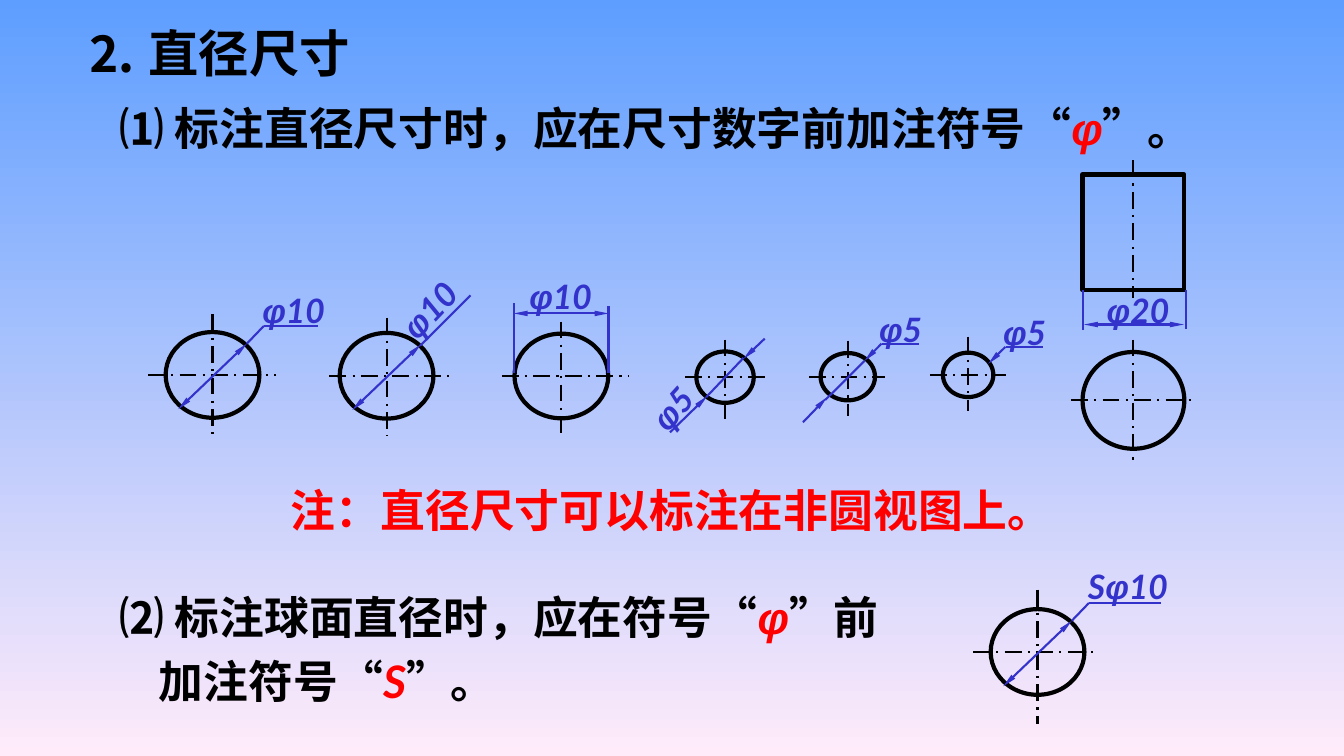
import pptx
import pptx.util
import pptx.dml.color
import pptx.enum.dml
import pptx.enum.shapes
import pptx.enum.text
import pptx.oxml.ns
from lxml import etree

Pt = pptx.util.Pt
RGB = pptx.dml.color.RGBColor.from_string
qn = pptx.oxml.ns.qn
KIND = pptx.enum.shapes.MSO_SHAPE
ALIGN = pptx.enum.text.PP_ALIGN
DASH = pptx.enum.dml.MSO_LINE.LONG_DASH_DOT
MID = pptx.enum.text.MSO_ANCHOR.MIDDLE

HUES = {"ink": "000000", "dim": "3333CC", "red": "FF0000",
        "sky": "5E9EFF", "rose": "FFEBFA"}
CJK = "Noto Sans CJK SC"
LOOKS = {
    "body": ("Lato", "ink", False),
    "quote": (CJK, "ink", False),
    "phi": ("Arial", "red", True),
    "mark": ("Lato", "red", True),
    "note": ("Times New Roman", "red", False),
    "dimphi": ("Arial", "dim", True),
    "dim": ("Lato", "dim", True),
}

deck = pptx.Presentation()
deck.slide_width, deck.slide_height = Pt(960.48), Pt(540)
slide = deck.slides.add_slide(deck.slide_layouts[5])
shapes = slide.shapes

back = slide.background.fill
back.gradient()
back.gradient_angle = 270
for stop, hue, place in zip(back.gradient_stops, ("sky", "rose"), (0, 1)):
    stop.color.rgb = RGB(HUES[hue])
    stop.position = place


def write(para, size, parts):
    for look, words in parts:
        run = para.add_run()
        run.text = words
        face, hue, slant = LOOKS[look]
        font = run.font
        font.name, font.size, font.bold, font.italic = face, Pt(size), True, slant
        font.color.rgb = RGB(HUES[hue])
        east = etree.Element(qn("a:ea"), typeface=CJK)
        font._element.find(qn("a:latin")).addnext(east)


def draw(x1, y1, x2, y2, hue="dim", tips=()):
    line = shapes.add_connector(pptx.enum.shapes.MSO_CONNECTOR.STRAIGHT,
                                Pt(x1), Pt(y1), Pt(x2), Pt(y2))
    line.line.width = Pt(1.5)
    line.line.color.rgb = RGB(HUES[hue])
    if hue == "ink":
        line.line.dash_style = DASH
    props = line._element.spPr
    for tip in tips:
        etree.SubElement(props.find(qn("a:ln")), qn("a:" + tip),
                         type="triangle", w="sm", len="lg")
    etree.SubElement(props, qn("a:effectLst"))


title = shapes.title
title.left, title.top, title.width, title.height = Pt(54.7), Pt(12.2), Pt(204.5), Pt(50.4)
title.text_frame.word_wrap = False
title.text_frame.vertical_anchor = MID
title.text_frame.paragraphs[0].alignment = ALIGN.LEFT
write(title.text_frame.paragraphs[0], 36, [("body", "⒉ 直径尺寸")])

texts = [
    (78.5, 68.4, 832.3, 46.1, 1.0, [
        [("body", "⑴ 标注直径尺寸时，应在尺寸数字前加注符号"), ("quote", "“"),
         ("phi", "φ"), ("quote", "”"), ("body", "。")]]),
    (78.5, 409.7, 576, 99.4, 1.2, [
        [("body", "⑵ 标注球面直径时，应在符号"), ("quote", "“"),
         ("phi", "φ"), ("quote", "”"), ("body", "前")],
        [("body", "加注符号"), ("quote", "“"),
         ("mark", "S"), ("quote", "”"), ("body", "。")]]),
    (200.9, 340.6, 558.7, 46.1, 1.0, [[("note", "注：直径尺寸可以标注在非圆视图上。")]]),
]
for x, y, w, h, gap, rows in texts:
    frame = shapes.add_textbox(Pt(x), Pt(y), Pt(w), Pt(h)).text_frame
    frame.word_wrap = True
    frame.vertical_anchor = MID
    for spot, parts in enumerate(rows):
        para = frame.add_paragraph() if spot else frame.paragraphs[0]
        para.line_spacing = gap
        if spot:
            para._p.get_or_add_pPr().set("marL", str(Pt(28)))
        write(para, 32, parts)

rounds = [
    (151.9, 267.8, 67, 61.2, 105.8, 197.3, 224.6, 314.6),
    (276.3, 268.4, 67, 61.2, 235.4, 322.6, 226.8, 311),
    (401.2, 268.6, 67, 60.5, 358.6, 449.3, 229.7, 313.2),
    (518.2, 269.4, 41, 36.7, 489.6, 548.6, 242.6, 299.5),
    (605.9, 269.1, 38.9, 33.8, 578.2, 632.2, 243.4, 297.4),
    (691.9, 267.8, 36, 31.7, 664.6, 718.6, 240.5, 293.8),
    (810, 286, 72.7, 69.1, 765.4, 855.4, 242.6, 331.9),
    (741.5, 465.7, 67, 61.2, 695.5, 784.8, 421.2, 517),
]
forms = [(KIND.RECTANGLE, 810, 166, 72.7, 82.8)]
forms += [(KIND.OVAL, *ring[:4]) for ring in rounds]
for kind, cx, cy, w, h in forms:
    form = shapes.add_shape(kind, Pt(cx - w / 2), Pt(cy - h / 2), Pt(w), Pt(h))
    form.shadow.inherit = False
    form.fill.background()
    form.line.width = Pt(3)
    form.line.color.rgb = RGB(HUES["ink"])

draw(810, 114.5, 810, 213.1, "ink")
for cx, cy, w, h, left, right, top, base in rounds:
    draw(left, cy, right, cy, "ink")
    draw(cx, top, cx, base, "ink")

both = ("headEnd", "tailEnd")
head = ("headEnd",)
for ring in (rounds[0], rounds[1], rounds[7]):
    cx, cy = ring[:2]
    draw(cx - 24.5, cy + 24.5, cx + 24.5, cy - 22.3, tips=both)
for ring, end in ((rounds[0], 227.5), (rounds[7], 829.4)):
    cx, cy = ring[:2]
    draw(cx + 24.5, cy - 22.3, cx + 36.7, cy - 35)
    draw(cx + 36.7, cy - 35, end, cy - 35)

for x1, y1, x2, y2, tips in [
    (300.2, 247, 336.2, 211, ()),
    (367.2, 266.4, 367.2, 216.7, ()),
    (434.9, 266.4, 434.9, 218.9, ()),
    (367.2, 223.9, 434.9, 223.9, both),
    (504.7, 283.7, 531.4, 255.6, ()),
    (531.4, 256.3, 546.5, 241.9, head),
    (505.4, 283, 478.8, 308.9, head),
    (589.7, 285.8, 617.8, 257.8, ()),
    (617.8, 257.8, 630, 245.5, head),
    (591.1, 283.7, 573.8, 301.7, head),
    (630, 245.5, 656.6, 245.5, ()),
    (706.3, 259.9, 718.6, 247.7, head),
    (718.6, 247.7, 745.2, 247.7, ()),
    (774, 207.4, 774, 235.4, ()),
    (847.4, 207.4, 847.4, 234.7, ()),
    (774.7, 231.8, 846, 231.8, both),
]:
    draw(x1, y1, x2, y2, tips=tips)

for x, y, w, turn, lead, size in [
    (177.8, 203.8, 64.1, 0, "", "10"),
    (259.9, 203, 93.6, 313.6, "", "10"),
    (365, 193.7, 71.3, 0, "", "10"),
    (457.2, 273.6, 46.1, 312, "", "5"),
    (620.6, 216.7, 46.1, 0, "", "5"),
    (709.2, 218.9, 46.1, 0, "", "5"),
    (780.5, 203.8, 65.5, 0, "", "20"),
    (759.6, 400.3, 92.9, 0, "S", "10"),
]:
    tag = shapes.add_textbox(Pt(x), Pt(y), Pt(w), Pt(36))
    tag.rotation = turn
    tag.text_frame.word_wrap = True
    tag.text_frame.vertical_anchor = MID
    para = tag.text_frame.paragraphs[0]
    para.alignment = ALIGN.CENTER
    parts = [("dim", lead), ("dimphi", "φ"), ("dim", size)]
    write(para, 24, [part for part in parts if part[1]])

deck.save("out.pptx")
